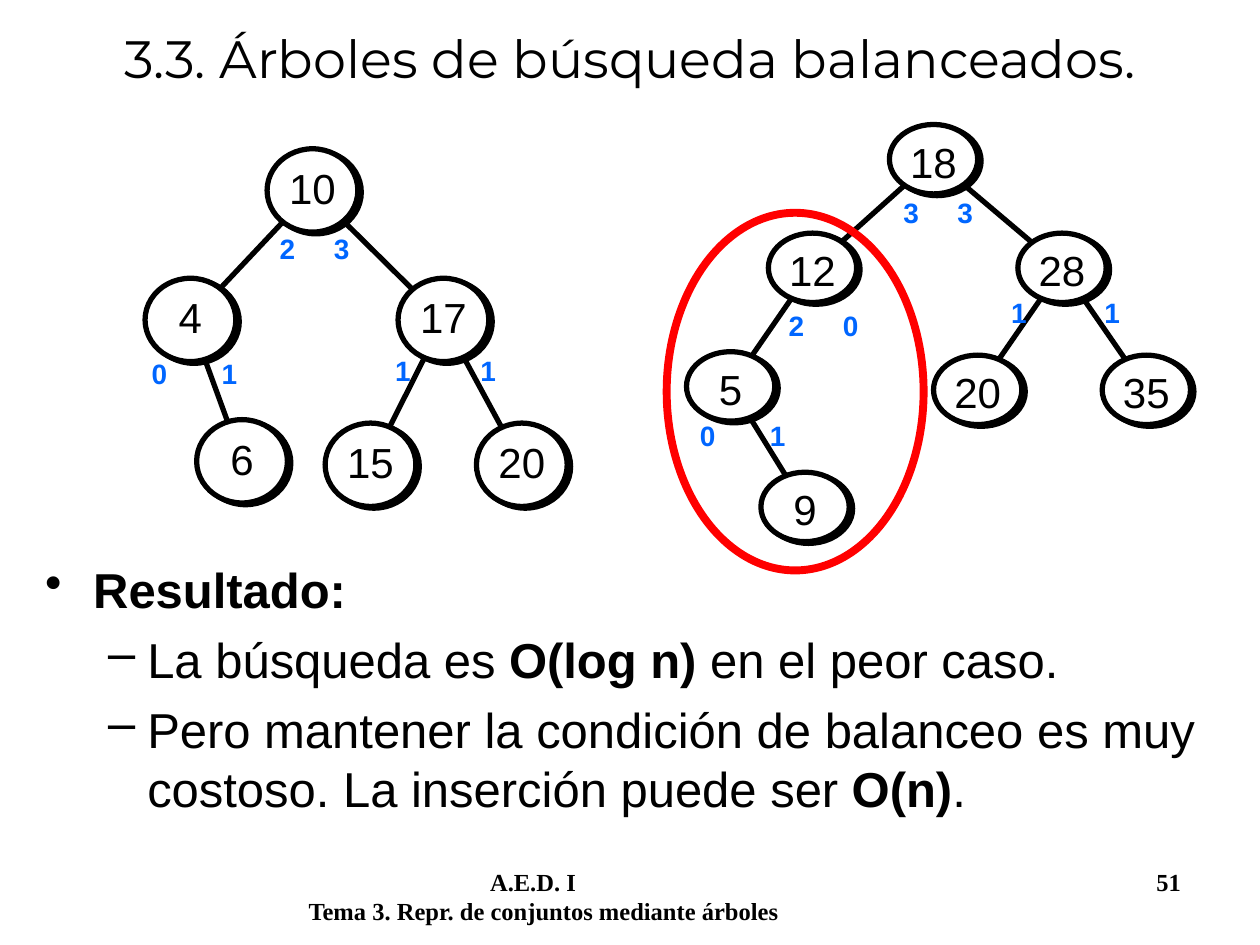
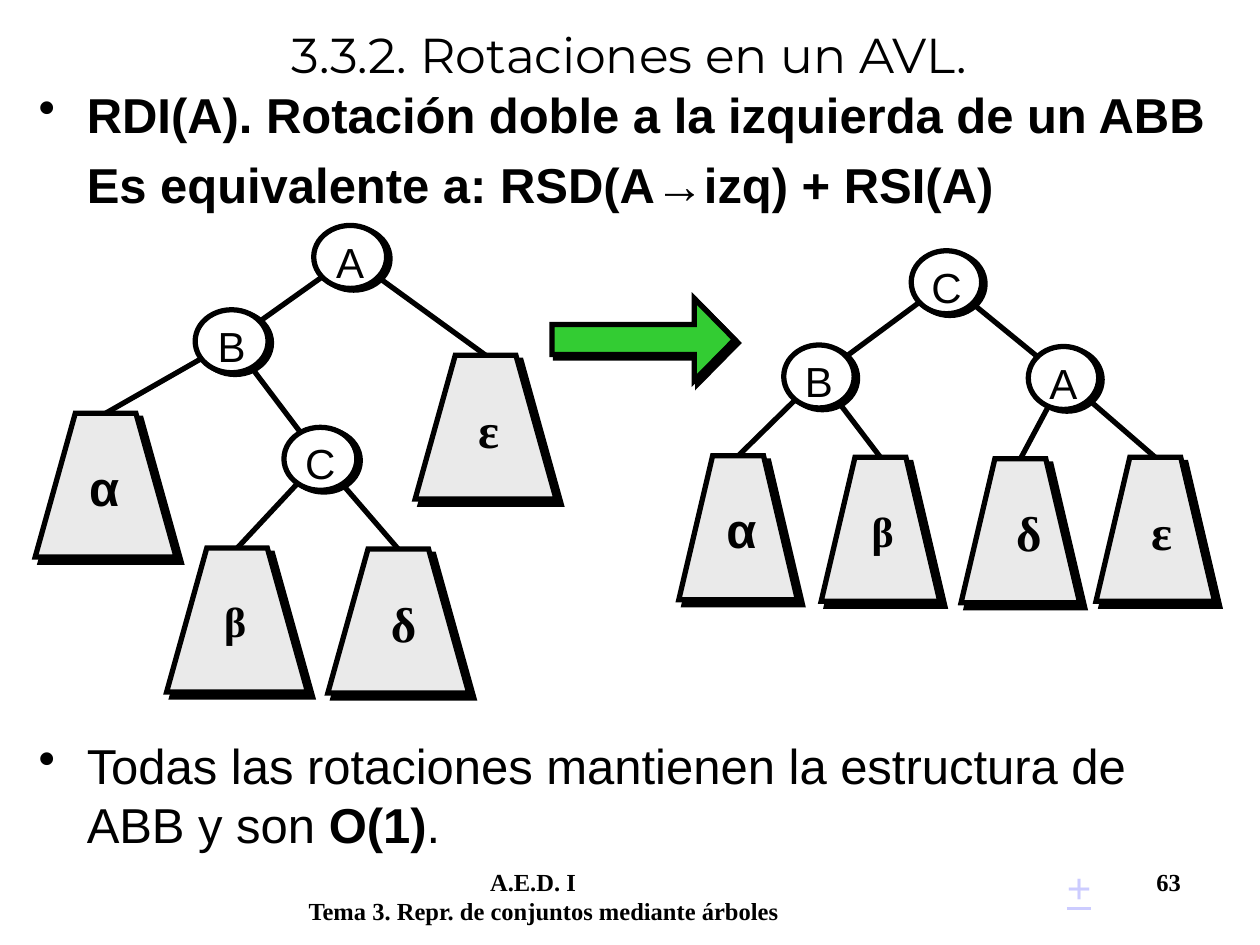
from dataclasses import dataclass

from lxml import etree
from pptx import Presentation
from pptx import util as u
from pptx.dml.color import RGBColor
from pptx.enum import shapes, text
from pptx.oxml import ns

Cm, Pt = u.Cm, u.Pt


@dataclass(frozen=True)
class Theme:
    black: str = "000000"
    white: str = "FFFFFF"
    subtree: str = "EAEAEA"
    height: str = "0066FF"
    highlight: str = "FF0000"
    arrow: str = "33CC33"
    link: str = "CCCCFF"
    sans: str = "Arial"
    serif: str = "Times New Roman"
    heading: str = "Montserrat"
    body_size: int = 28
    node_size: int = 24
    height_size: int = 16
    footer_size: int = 14
    line_width: float = 3
    highlight_width: float = 4.5
    paragraph_gap: float = 6.5


THEME = Theme()

# Content: all lengths in cm; boxes are (left, top, width, height)
COURSE = "A.E.D. I"
TOPIC = "Tema 3. Repr. de conjuntos mediante árboles"
FOOTER_BOX = (5.97, 17.35, 18.8, 1.27)
FOOTER_TABS = (3.66, 17.09)

# Paragraph levels: (left margin, first line indent, bullet)
LEVELS = {"bullet": (0.97, -0.97, "•"), "dash": (2.06, -0.79, "–"), "plain": (0.97, 0, None)}

BALANCED = {
    "title": ("3.3. Árboles de búsqueda balanceados.", (0, 0, 25.4, 2.31), 30),
    "number": 51,
    # Runs are (text, bold)
    "texts": [((0.66, 11.15, 24.05, 5.92), [
        ("bullet", [("Resultado:", True)]),
        ("dash", [("La búsqueda es ", False), ("O(log n)", True), (" en el peor caso.", False)]),
        ("dash", [("Pero mantener la condición de balanceo es muy costoso. "
                   "La inserción puede ser ", False), ("O(n)", True), (".", False)]),
    ])],
}
# Nodes are label: centre; edges are parent-child pairs
BALANCED_TREES = [
    {"size": (1.83, 1.68),
     "nodes": {"10": (6.3, 3.84), "4": (3.84, 6.45), "17": (8.94, 6.45),
               "15": (7.47, 9.37), "20": (10.52, 9.37), "6": (4.88, 9.3)},
     "edges": [("10", "4"), ("4", "6"), ("10", "17"), ("17", "20"), ("17", "15")]},
    {"size": (1.78, 1.4),
     "nodes": {"18": (18.82, 3.21), "12": (16.38, 5.4), "28": (21.41, 5.4),
               "20": (19.71, 7.86), "35": (23.11, 7.86), "5": (14.73, 7.79),
               "9": (16.23, 10.22)},
     "edges": [("18", "12"), ("12", "5"), ("18", "28"), ("28", "35"), ("28", "20"),
               ("5", "9")]},
]
UNBALANCED_BOX = (13.44, 4.29, 5.18, 7.21)
# Subtree heights: left, right, centre x, top, gap between the digits
HEIGHTS = [
    (2, 3, 6.34, 4.55, 0.78), (0, 1, 3.92, 7.06, 1.1), (1, 1, 8.98, 7.01, 1.41),
    (3, 3, 18.91, 3.81, 0.78), (1, 1, 21.48, 5.84, 1.57), (2, 0, 16.6, 6.1, 0.78),
    (0, 1, 14.97, 8.31, 1.1),
]
HEIGHT_BOX = (4.8, 1.04)
DIGIT_WIDTH = 0.31

ROTATION = {
    "title": ("3.3.2. Rotaciones en un AVL.", (0.84, 0, 23.7, 2.18), 28),
    "number": 63,
    "texts": [
        ((0.53, 1.57, 24.87, 3.1), [
            ("bullet", [("RDI(A). Rotación doble a la izquierda de un ABB", True)]),
            ("plain", [("Es equivalente a: RSD(A", True), ("→", False),
                       ("izq) + RSI(A)", True)]),
        ]),
        ((0.53, 14.71, 24.23, 2.62), [
            ("bullet", [("Todas las rotaciones mantienen la estructura de ABB y son ", False),
                        ("O(1)", True), (".", False)]),
        ]),
    ],
}
# Subtrees are label: middle of the top edge
ROTATION_TREES = [
    {"size": (1.47, 1.27), "subtree_width": 2.84,
     "nodes": {"B": (4.67, 6.88), "A": (7.06, 5.18), "C": (6.46, 9.25)},
     "subtrees": {"α": (2.13, 8.33), "β": (4.78, 11.05), "δ": (8.03, 11.07),
                  "ε": (9.79, 7.16)},
     "edges": [("A", "B"), ("A", "ε"), ("B", "α"), ("B", "C"), ("C", "β"), ("C", "δ")]},
    {"size": (1.42, 1.27), "subtree_width": 2.39,
     "nodes": {"C": (19.08, 5.69), "B": (16.51, 7.59), "A": (21.44, 7.62)},
     "subtrees": {"α": (14.88, 9.19), "β": (17.75, 9.22), "δ": (20.57, 9.25),
                  "ε": (23.29, 9.22)},
     "edges": [("C", "B"), ("C", "A"), ("B", "α"), ("B", "β"), ("A", "δ"), ("A", "ε")]},
]
SUBTREE_HEIGHT = 2.9
FULL_SUBTREE_WIDTH = 2.84
# Label boxes inside a full-width subtree, with font and size
GREEK = {
    "α": ((0.84, 0.76, 1.63, 1.45), THEME.sans, 28),
    "β": ((0.91, 0.84, 1.47, 1.27), THEME.serif, 24),
    "δ": ((1.02, 0.76, 1.47, 1.45), THEME.serif, 28),
    "ε": ((1.02, 0.76, 1.47, 1.45), THEME.serif, 28),
}
ARROW_BOX = (11.13, 6.02, 3.68, 1.65)
ARROW_ADJUSTMENTS = (0.365, 0.492)
PLUS_BOX = (21.26, 17.25, 1.02, 1.27)


# Formatting helpers
def lengths(values):
    return [Cm(value) for value in values]


def add_element(parent, tag, **attributes):
    element = etree.SubElement(parent, ns.qn(tag))
    for name, value in attributes.items():
        element.set(name, str(value))
    return element


def style_font(font, name, size, color=THEME.black, bold=False):
    font.name, font.size, font.bold = name, Pt(size), bold
    font.color.rgb = RGBColor.from_string(color)


def style_runs(text_frame, *font_options, **named_options):
    for paragraph in text_frame.paragraphs:
        for run in paragraph.runs:
            style_font(run.font, *font_options, **named_options)


def set_tabs(paragraph, positions):
    tabs = add_element(paragraph._p.get_or_add_pPr(), "a:tabLst")
    for position in positions:
        add_element(tabs, "a:tab", pos=Cm(position), algn="l")


def style_line(line, color=THEME.black, width=THEME.line_width):
    line.color.rgb = RGBColor.from_string(color)
    line.width = Pt(width)


def style_shape(shape, fill, distance, angle):
    """Filled shape with a black outline and a hard shadow."""
    shape.shadow.inherit = False
    shape.fill.solid()
    shape.fill.fore_color.rgb = RGBColor.from_string(fill)
    style_line(shape.line)
    add_element(shape.line._get_or_add_ln(), "a:miter", lim=800000)
    effects = shape._element.spPr.find(ns.qn("a:effectLst"))
    shadow = add_element(effects, "a:outerShdw", blurRad=0, dist=Pt(distance),
                         dir=angle * 60000, algn="ctr", rotWithShape=0)
    add_element(shadow, "a:srgbClr", val=THEME.black)


# Text parts
def add_text_box(slide, box, content=""):
    text_frame = slide.shapes.add_textbox(*lengths(box)).text_frame
    text_frame.word_wrap = True
    text_frame.text = content
    return text_frame


def add_paragraphs(slide, box, paragraphs):
    text_frame = add_text_box(slide, box)
    for index, (level, runs) in enumerate(paragraphs):
        paragraph = text_frame.add_paragraph() if index else text_frame.paragraphs[0]
        margin, indent, bullet = LEVELS[level]
        properties = paragraph._p.get_or_add_pPr()
        properties.set("marL", str(Cm(margin)))
        properties.set("indent", str(Cm(indent)))
        if bullet:
            add_element(properties, "a:buChar", char=bullet)
        if index:
            paragraph.space_before = Pt(THEME.paragraph_gap)
        for content, bold in runs:
            run = paragraph.add_run()
            run.text = content
            style_font(run.font, THEME.sans, THEME.body_size, bold=bold)


def add_slide(presentation, content):
    """Slide with its title, body texts and footer."""
    slide = presentation.slides.add_slide(presentation.slide_layouts[5])
    title_text, box, size = content["title"]
    title = slide.shapes.title
    title.left, title.top, title.width, title.height = lengths(box)
    title.text_frame.text = title_text
    title.text_frame.auto_size = text.MSO_AUTO_SIZE.NONE
    title.text_frame.vertical_anchor = text.MSO_ANCHOR.MIDDLE
    title.text_frame.paragraphs[0].alignment = text.PP_ALIGN.CENTER
    style_runs(title.text_frame, THEME.heading, size)
    for box, paragraphs in content["texts"]:
        add_paragraphs(slide, box, paragraphs)

    footer = add_text_box(slide, FOOTER_BOX, f"\t{COURSE}\t{content['number']}\n{TOPIC}")
    set_tabs(footer.paragraphs[0], FOOTER_TABS)
    style_runs(footer, THEME.serif, THEME.footer_size, bold=True)
    return slide


# Tree parts
def add_node(slide, label, center, size):
    (x, y), (width, height) = center, size
    node = slide.shapes.add_shape(
        shapes.MSO_SHAPE.OVAL, *lengths((x - width / 2, y - height / 2, width, height)))
    style_shape(node, THEME.white, 2.2, 27)
    text_frame = node.text_frame
    text_frame.text = label
    text_frame.vertical_anchor = text.MSO_ANCHOR.TOP
    text_frame.margin_left = text_frame.margin_right = Cm(0.05)
    text_frame.margin_top = text_frame.margin_bottom = Cm(0.03)
    text_frame.paragraphs[0].alignment = text.PP_ALIGN.CENTER
    style_runs(text_frame, THEME.sans, THEME.node_size)


def add_subtree(slide, label, top_middle, width):
    x, top = top_middle
    left, bottom = x - width / 2, top + SUBTREE_HEIGHT
    inset = width * 0.285
    corners = [(left, bottom), (left + inset, top), (left + width - inset, top),
               (left + width, bottom)]
    points = [tuple(lengths(corner)) for corner in corners]
    builder = slide.shapes.build_freeform(*points[0])
    builder.add_line_segments(points[1:], close=True)
    style_shape(builder.convert_to_shape(), THEME.subtree, 4.2, 45)

    (dx, dy, label_width, label_height), font, size = GREEK[label]
    scale = width / FULL_SUBTREE_WIDTH
    label_box = (left + dx * scale, top + dy, label_width * scale, label_height)
    style_runs(add_text_box(slide, label_box, label), font, size, bold=True)


def add_tree(slide, tree):
    subtrees = tree.get("subtrees", {})
    places = {**tree["nodes"], **subtrees}
    for parent, child in tree["edges"]:
        edge = slide.shapes.add_connector(
            shapes.MSO_CONNECTOR.STRAIGHT, *lengths(places[parent] + places[child]))
        style_line(edge.line)
        add_element(edge._element.spPr, "a:effectLst")
    for label, top_middle in subtrees.items():
        add_subtree(slide, label, top_middle, tree["subtree_width"])
    for label, center in tree["nodes"].items():
        add_node(slide, label, center, tree["size"])


def add_heights(slide, left_height, right_height, x, top, gap):
    width, height = HEIGHT_BOX
    text_frame = add_text_box(slide, (x - width / 2, top, width, height),
                              f"{left_height}\t{right_height}")
    text_frame.margin_left = Cm((width - gap) / 2 - DIGIT_WIDTH)
    text_frame.margin_right = 0
    set_tabs(text_frame.paragraphs[0], [DIGIT_WIDTH + gap])
    style_runs(text_frame, THEME.sans, THEME.height_size, THEME.height, bold=True)


# Slides
def build_balanced(presentation):
    slide = add_slide(presentation, BALANCED)
    for tree in BALANCED_TREES:
        add_tree(slide, tree)
    highlight = slide.shapes.add_shape(shapes.MSO_SHAPE.OVAL, *lengths(UNBALANCED_BOX))
    highlight.shadow.inherit = False
    highlight.fill.background()
    style_line(highlight.line, THEME.highlight, THEME.highlight_width)
    for heights in HEIGHTS:
        add_heights(slide, *heights)


def build_rotation(presentation):
    slide = add_slide(presentation, ROTATION)
    for tree in ROTATION_TREES:
        add_tree(slide, tree)
    arrow = slide.shapes.add_shape(shapes.MSO_SHAPE.RIGHT_ARROW, *lengths(ARROW_BOX))
    for index, value in enumerate(ARROW_ADJUSTMENTS):
        arrow.adjustments[index] = value
    style_shape(arrow, THEME.arrow, 2.8, 45)
    plus = add_text_box(slide, PLUS_BOX, "+")
    plus.word_wrap = False
    style_runs(plus, THEME.sans, THEME.node_size, THEME.link)
    plus.paragraphs[0].runs[0].font.underline = True


def main():
    presentation = Presentation()
    presentation.slide_width, presentation.slide_height = lengths((25.4, 19.05))
    build_balanced(presentation)
    build_rotation(presentation)
    presentation.save("out.pptx")


if __name__ == "__main__":
    main()
